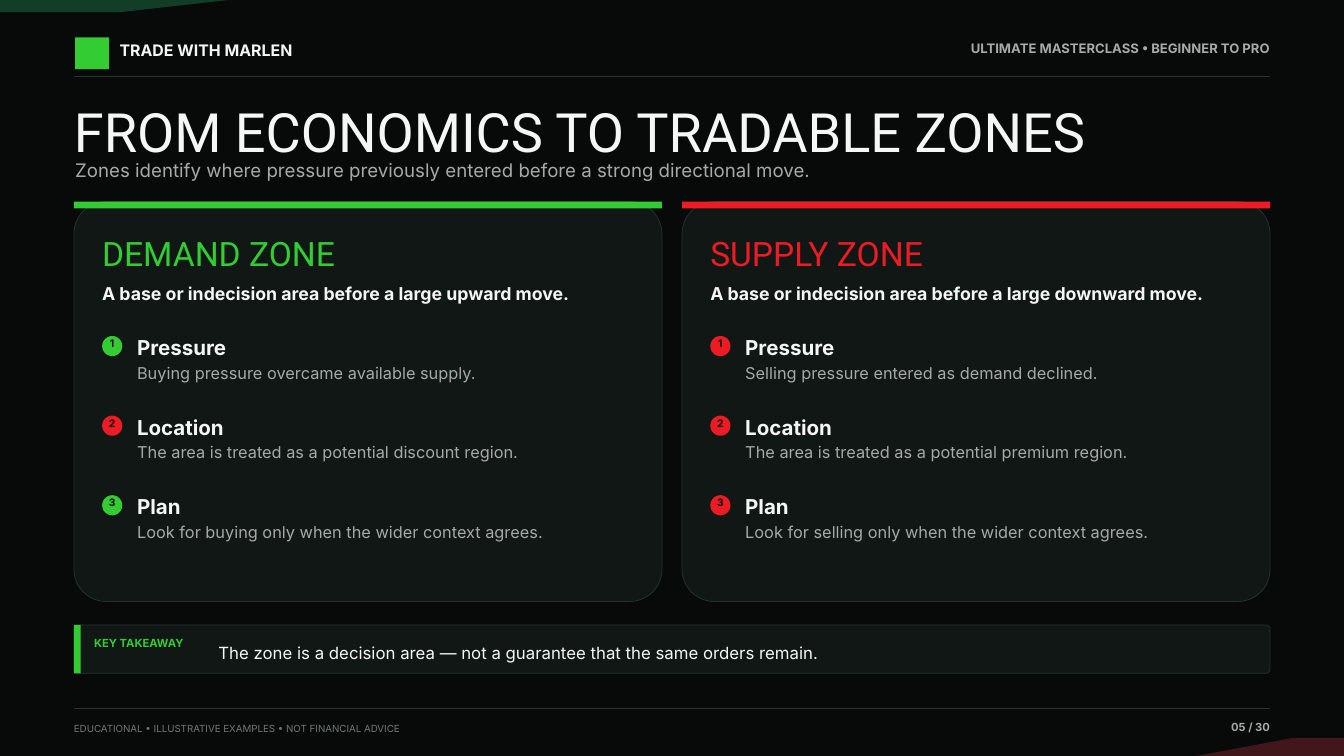
from pptx import Presentation
from pptx.dml.color import RGBColor
from pptx.enum.shapes import MSO_CONNECTOR, MSO_SHAPE
from pptx.enum.text import MSO_ANCHOR, MSO_AUTO_SIZE, PP_ALIGN
from pptx.oxml.ns import qn
from pptx.util import Pt
from lxml import etree

RECT, ROUNDED, OVAL = MSO_SHAPE.RECTANGLE, MSO_SHAPE.ROUNDED_RECTANGLE, MSO_SHAPE.OVAL
STRAIGHT = MSO_CONNECTOR.STRAIGHT
LEFT, CENTER, RIGHT = PP_ALIGN.LEFT, PP_ALIGN.CENTER, PP_ALIGN.RIGHT
TOP, MIDDLE = MSO_ANCHOR.TOP, MSO_ANCHOR.MIDDLE
NO_AUTOFIT = MSO_AUTO_SIZE.NONE

BACKDROP, PANEL, RULE = "070A09", "111715", "28332E"
GREEN, RED = "33CC33", "ED1C24"
WHITE, GREY, DIM = "F5F7F6", "A6AAA8", "6F7873"

# Page grid, in points
WIDTH, HEIGHT = 1440, 810
MARGIN = 79.2
CONTENT_W = WIDTH - 2 * MARGIN
GAP = 21.6
CARD_W = (CONTENT_W - GAP) / 2
CARD_TOP, CARD_H = 216, 428.4
FIRST_ROW, ROW_PITCH = 354.24, 85.3

DEMAND = {
    "heading": "DEMAND ZONE", "color": GREEN,
    "summary": "A base or indecision area before a large upward move.",
    "steps": [
        ("Pressure", "Buying pressure overcame available supply.", GREEN),
        ("Location", "The area is treated as a potential discount region.", RED),
        ("Plan", "Look for buying only when the wider context agrees.", GREEN),
    ],
}
SUPPLY = {
    "heading": "SUPPLY ZONE", "color": RED,
    "summary": "A base or indecision area before a large downward move.",
    "steps": [
        ("Pressure", "Selling pressure entered as demand declined.", RED),
        ("Location", "The area is treated as a potential premium region.", RED),
        ("Plan", "Look for selling only when the wider context agrees.", RED),
    ],
}


def rgb(value):
    return RGBColor.from_string(value)


def paint(shape, fill, line=None):
    shape.shadow.inherit = False
    shape.fill.solid()
    shape.fill.fore_color.rgb = rgb(fill)
    if line:
        shape.line.color.rgb = rgb(line)
        shape.line.width = Pt(0.8)
    else:
        shape.line.fill.background()


def add_block(slide, kind, x, y, w, h, fill, line=None):
    block = slide.shapes.add_shape(kind, Pt(x), Pt(y), Pt(w), Pt(h))
    paint(block, fill, line)
    if kind == ROUNDED:
        block.adjustments[0] = 0.08


def add_corner(slide, points, fill):
    start, *rest = [(Pt(x), Pt(y)) for x, y in points]
    outline = slide.shapes.build_freeform(*start)
    outline.add_line_segments(rest, close=True)
    paint(outline.convert_to_shape(), fill)


def add_rule(slide, y):
    rule = slide.shapes.add_connector(
        STRAIGHT, Pt(MARGIN), Pt(y), Pt(WIDTH - MARGIN), Pt(y))
    rule.line.color.rgb = rgb(RULE)
    rule.line.width = Pt(0.8)
    etree.SubElement(rule._element.spPr, qn("a:effectLst"))


def write(box, text, size, color, font="Inter", bold=False, align=LEFT,
          anchor=TOP, spacing=1.18):
    frame = box.text_frame
    frame.word_wrap = True
    frame.auto_size = NO_AUTOFIT
    frame.vertical_anchor = anchor
    frame.margin_left = frame.margin_right = 0
    frame.margin_top = frame.margin_bottom = 0
    paragraph = frame.paragraphs[0]
    paragraph.alignment = align
    paragraph.line_spacing = spacing
    run = paragraph.add_run()
    run.text = text
    run.font.name = font
    run.font.size = Pt(size)
    run.font.bold = bold
    run.font.color.rgb = rgb(color)


def add_text(slide, x, y, w, h, text, **style):
    box = slide.shapes.add_textbox(Pt(x), Pt(y), Pt(w), Pt(h))
    write(box, text, **style)


def add_title(slide, text):
    title = slide.shapes.title
    title.left, title.top = Pt(MARGIN), Pt(105.12)
    title.width, title.height = Pt(CONTENT_W), Pt(63.36)
    write(title, text, size=58, color=WHITE, font="Roboto", spacing=1.0)


def add_step(slide, x, y, number, name, detail, color):
    add_block(slide, OVAL, x, y + 5.76, 21.6, 21.6, color)
    add_text(slide, x + 1.44, y + 4.75, 18.72, 16.56, str(number),
             size=11, color=BACKDROP, bold=True, align=CENTER)
    add_text(slide, x + 37.44, y, 527.76, 25.92, name,
             size=22, color=WHITE, bold=True)
    add_text(slide, x + 37.44, y + 30.96, 527.76, 50.4, detail,
             size=17.5, color=GREY)


def add_zone(slide, x, zone):
    add_block(slide, ROUNDED, x, CARD_TOP, CARD_W, CARD_H, PANEL, RULE)
    add_block(slide, RECT, x, CARD_TOP, CARD_W, 7.2, zone["color"])
    inner = x + 30.24
    add_text(slide, inner, 241.92, 568.8, 48.96, zone["heading"],
             size=36, color=zone["color"], font="Roboto")
    add_text(slide, inner, 298.8, 568.8, 37.44, zone["summary"],
             size=19, color=WHITE, bold=True)
    for index, step in enumerate(zone["steps"]):
        add_step(slide, inner, FIRST_ROW + index * ROW_PITCH, index + 1, *step)


def add_header(slide):
    add_block(slide, RECT, 80.64, 40, 36, 34, GREEN)
    add_text(slide, 128.16, 40.32, 280.8, 24.48, "TRADE WITH MARLEN",
             size=17, color=WHITE, bold=True)
    add_text(slide, 1008, 40.32, 352.8, 23.04,
             "ULTIMATE MASTERCLASS • BEGINNER TO PRO",
             size=14, color=GREY, bold=True, align=RIGHT)
    add_rule(slide, 81.36)


def add_footer(slide):
    add_rule(slide, 758.88)
    add_text(slide, MARGIN, 771.84, 576, 18,
             "EDUCATIONAL • ILLUSTRATIVE EXAMPLES • NOT FINANCIAL ADVICE",
             size=10.5, color=DIM)
    add_text(slide, 1238.4, 768.96, 122.4, 20.16, "05 / 30",
             size=12, color=GREY, bold=True, align=RIGHT)


def add_takeaway(slide, text):
    add_block(slide, ROUNDED, MARGIN, 669.6, CONTENT_W, 51.84, PANEL, RULE)
    add_block(slide, RECT, MARGIN, 669.6, 7.2, 51.84, GREEN)
    add_text(slide, 100.8, 678.96, 133.2, 18.72, "KEY TAKEAWAY",
             size=12, color=GREEN, bold=True)
    add_text(slide, 234, 676.8, 1107.36, 40.32, text,
             size=18, color=WHITE, anchor=MIDDLE)


def main():
    deck = Presentation()
    deck.slide_width, deck.slide_height = Pt(WIDTH), Pt(HEIGHT)
    slide = deck.slides.add_slide(deck.slide_layouts[5])

    # Backdrop and corner accents
    slide.background.fill.solid()
    slide.background.fill.fore_color.rgb = rgb(BACKDROP)
    add_corner(slide, [(0, 0), (244.8, 0), (129.6, 12.96), (0, 12.96)], "123D26")
    add_corner(slide, [(WIDTH, HEIGHT), (1281.6, HEIGHT), (1386, 790.56),
                       (WIDTH, 790.56)], "42171B")

    # Page frame
    add_header(slide)
    add_footer(slide)

    # Title and subtitle
    add_title(slide, "FROM ECONOMICS TO TRADABLE ZONES")
    add_text(slide, 80.64, 165.6, 1238.4, 30.96,
             "Zones identify where pressure previously entered before a "
             "strong directional move.", size=20, color=GREY)

    # Zone cards
    for column, zone in enumerate((DEMAND, SUPPLY)):
        add_zone(slide, MARGIN + column * (CARD_W + GAP), zone)

    add_takeaway(slide, "The zone is a decision area — not a guarantee that "
                        "the same orders remain.")
    deck.save("out.pptx")


if __name__ == "__main__":
    main()
